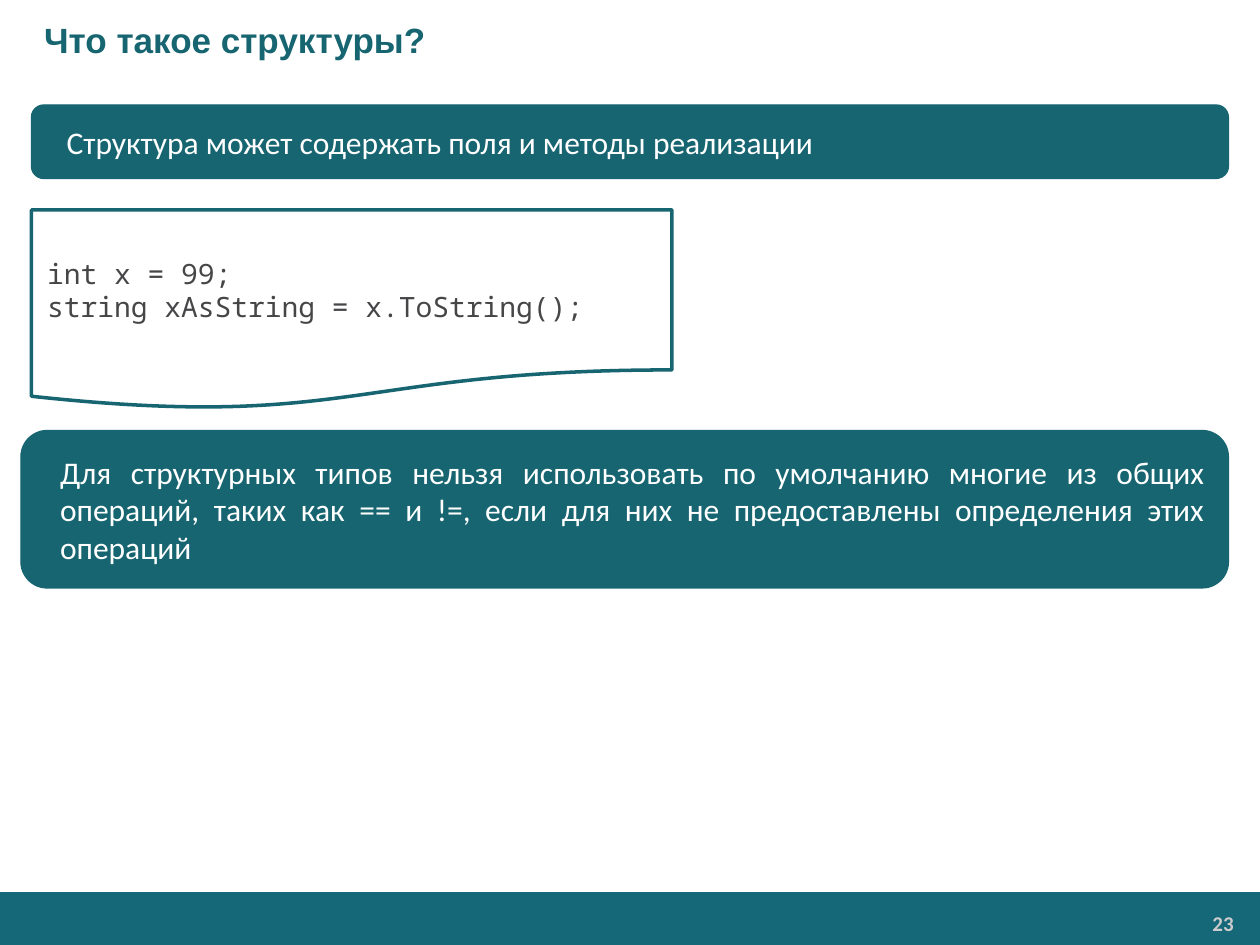
"""Build a slide on what structures may contain and which operators they lack."""
import pptx
import pptx.dml.color
import pptx.enum.shapes
import pptx.enum.text
import pptx.util

Pt = pptx.util.Pt
SHAPE = pptx.enum.shapes.MSO_SHAPE
ALIGN = pptx.enum.text.PP_ALIGN
ANCHOR = pptx.enum.text.MSO_ANCHOR

TEAL, WHITE = "176571", "FFFFFF"
TITLE = "Что такое структуры?"
PAGE_NUMBER = "23"
NOTE_STYLE = {"font": "Calibri", "size": 18, "color": WHITE, "align": ALIGN.JUSTIFY, "indent": 9}
CODE_STYLE = {"font": "Noto Sans Mono", "size": 16, "color": "464547"}
PANELS = [
    (SHAPE.ROUNDED_RECTANGLE, (12, 246, 690, 90), TEAL, 0.75, NOTE_STYLE,
     "Для структурных типов нельзя использовать по умолчанию многие из общих операций, "
     "таких как == и !=, если для них не предоставлены определения этих операций"),
    (SHAPE.ROUNDED_RECTANGLE, (18, 60, 684, 42), TEAL, 0.75, NOTE_STYLE,
     "Cтруктура может содержать поля и методы реализации"),
    (SHAPE.FLOWCHART_DOCUMENT, (18, 120, 366, 114), WHITE, 2, CODE_STYLE,
     "int x = 99;\nstring xAsString = x.ToString();"),
]


def rgb(value):
    """Turn a hex string into a colour."""
    return pptx.dml.color.RGBColor.from_string(value)


def place(box, area):
    """Put a box at left, top, width, height in points."""
    box.left, box.top, box.width, box.height = map(Pt, area)


def write(box, text, font, size, color, align=ALIGN.LEFT, indent=0, bold=False,
          anchor=ANCHOR.MIDDLE, insets=(9, 4.5)):
    """Fill a box with text in one style."""
    frame = box.text_frame
    frame.text = text
    frame.word_wrap = True
    frame.auto_size = pptx.enum.text.MSO_AUTO_SIZE.NONE
    frame.vertical_anchor = anchor
    frame.margin_left = frame.margin_right = Pt(insets[0])
    frame.margin_top = frame.margin_bottom = Pt(insets[1])
    for para in frame.paragraphs:
        para.alignment = align
        properties = para._p.get_or_add_pPr()
        properties.set("marL", str(Pt(indent)))
        properties.set("indent", "0")
        for span in para.runs:
            span.font.name, span.font.size, span.font.bold = font, Pt(size), bold
            span.font.color.rgb = rgb(color)


def add_panel(page, kind, area, fill, line=None, line_width=0):
    """Add a filled shape, outlined if a line colour is given."""
    panel = page.shapes.add_shape(kind, *map(Pt, area))
    panel.shadow.inherit = False
    panel.fill.solid()
    panel.fill.fore_color.rgb = rgb(fill)
    if line:
        panel.line.color.rgb = rgb(line)
        panel.line.width = Pt(line_width)
    else:
        panel.line.fill.background()
    return panel


def main():
    """Build and save the deck."""
    deck = pptx.Presentation()
    deck.slide_width, deck.slide_height = Pt(720), Pt(540)
    page = deck.slides.add_slide(deck.slide_layouts[5])

    add_panel(page, SHAPE.RECTANGLE, (0, 509.75, 720, 30.25), "146878")
    number = page.shapes.add_textbox(*map(Pt, (592.5, 517.75, 117.5, 20)))
    write(number, PAGE_NUMBER, "Calibri", 12, "CCCCCC", ALIGN.RIGHT, bold=True,
          anchor=ANCHOR.TOP, insets=(5, 2.75))

    title = page.shapes.title
    place(title, (0, 0, 720, 45.25))
    write(title, TITLE, "Arial", 20, TEAL, indent=18, bold=True, insets=(7.2, 3.6))

    for kind, area, fill, line_width, style, text in PANELS:
        panel = add_panel(page, kind, area, fill, TEAL, line_width)
        write(panel, text, **style)

    deck.save("out.pptx")


if __name__ == "__main__":
    main()
